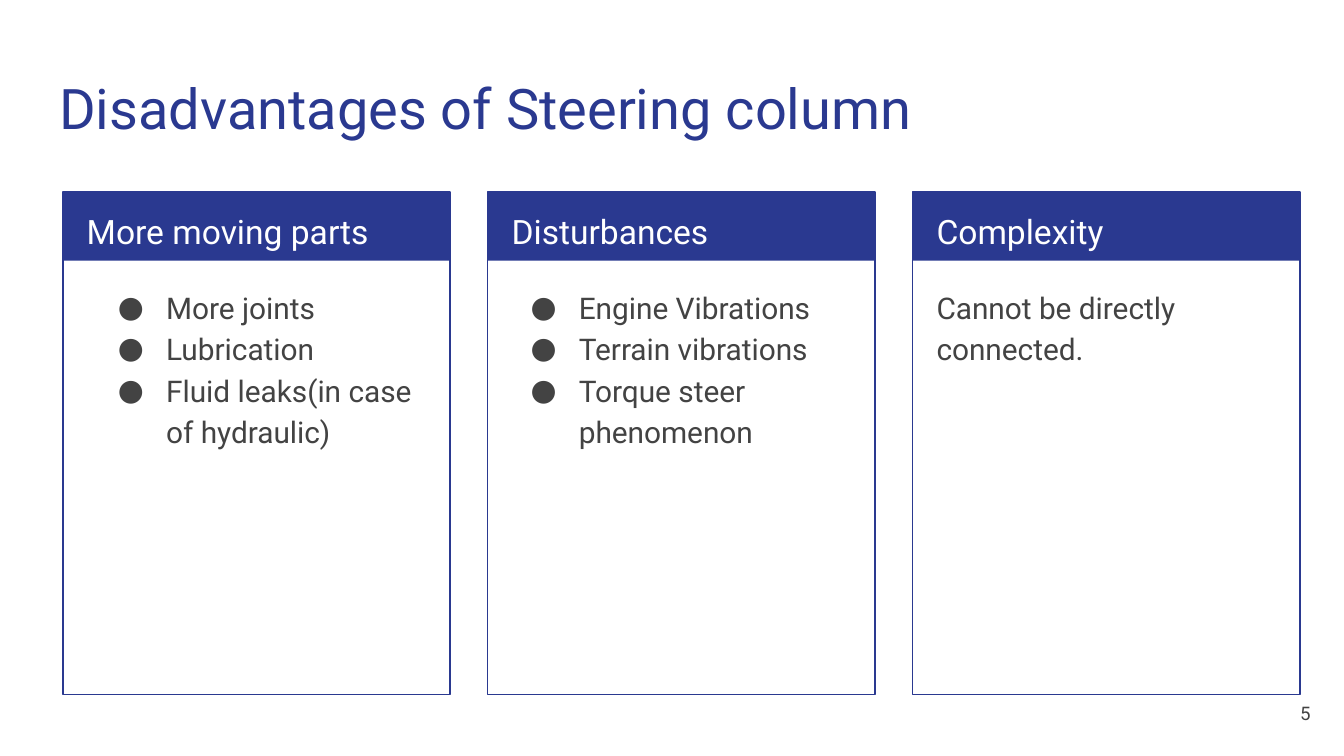
from lxml.etree import SubElement
from pptx import Presentation
from pptx.dml.color import RGBColor
from pptx.enum.shapes import MSO_SHAPE as Shape
from pptx.enum.text import MSO_ANCHOR as Anchor, PP_ALIGN as Align
from pptx.oxml.ns import qn
from pptx.util import Cm, Pt

FONT = "Roboto"
BLUE, GREY, WHITE = "2A3990", "434343", "FFFFFF"
INSET = Cm(0.25)
CARD_LEFT, CARD_TOP, CARD_STEP = 1.19, 3.63, 8.03
CARD_WIDTH, CARD_HEIGHT, HEADER_HEIGHT = 7.32, 9.5, 1.3
CARDS = [
    ("More moving parts", 0.43, True,
     ["More joints", "Lubrication", "Fluid leaks(in case of hydraulic)"]),
    ("Disturbances", 0.2, True,
     ["Engine Vibrations", "Terrain vibrations", "Torque steer phenomenon"]),
    ("Complexity", 0.2, False, ["Cannot be directly connected."]),
]


def color(value):
    """Turn a hex string into a colour."""
    return RGBColor.from_string(value)


def place(shape, left, top, width, height):
    """Position a shape with lengths in centimetres."""
    shape.left, shape.top = Cm(left), Cm(top)
    shape.width, shape.height = Cm(width), Cm(height)


def write(shape, lines, size, text_color, spacing=1.0, align=Align.LEFT, anchor=Anchor.TOP):
    """Fill a shape with one formatted paragraph per line."""
    frame = shape.text_frame
    frame.word_wrap = True
    frame.vertical_anchor = anchor
    frame.margin_left = frame.margin_right = INSET
    frame.margin_top = frame.margin_bottom = INSET
    frame.text = "\n".join(lines)
    for paragraph in frame.paragraphs:
        paragraph.alignment = align
        paragraph.line_spacing = spacing
        paragraph.font.name = FONT
        paragraph.font.size = Pt(size)
        paragraph.font.color.rgb = color(text_color)


def add_text(slide, box, lines, size, text_color, **options):
    """Add a text box and return it."""
    shape = slide.shapes.add_textbox(*map(Cm, box))
    write(shape, lines, size, text_color, **options)
    return shape


def add_bullets(shape):
    """Give every paragraph a round bullet and a hanging indent."""
    for paragraph in shape.text_frame.paragraphs:
        properties = paragraph._p.get_or_add_pPr()
        properties.set("marL", str(Cm(1.27)))
        properties.set("indent", str(-Cm(0.91)))
        bullet_color = SubElement(properties, qn("a:buClr"))
        SubElement(bullet_color, qn("a:srgbClr"), val=GREY)
        SubElement(properties, qn("a:buFont"), typeface=FONT)
        SubElement(properties, qn("a:buChar"), char="●")


def add_rectangle(group, left, height, fill=None, line=None):
    """Add a filled or outlined rectangle at the top of a card."""
    box = map(Cm, (left, CARD_TOP, CARD_WIDTH, height))
    shape = group.shapes.add_shape(Shape.RECTANGLE, *box)
    shape.shadow.inherit = False
    if fill:
        shape.fill.solid()
        shape.fill.fore_color.rgb = color(fill)
    else:
        shape.fill.background()
    if line:
        shape.line.color.rgb = color(line)
        shape.line.width = Pt(0.75)
    else:
        shape.line.fill.background()


def add_card(slide, left, heading, body_offset, bulleted, lines):
    """Add a framed card with a heading band and body text."""
    group = slide.shapes.add_group_shape()
    add_rectangle(group, left, HEADER_HEIGHT, fill=BLUE)
    add_rectangle(group, left, CARD_HEIGHT, line=BLUE)
    add_text(slide, (left + 0.2, CARD_TOP, 6.93, 1.27), [heading], 18, WHITE, spacing=1.15)
    body = add_text(slide, (left + body_offset, 5.13, 6.88, 7.77), lines, 16, GREY, spacing=1.15)
    if bulleted:
        add_bullets(body)


def main():
    """Build and save the slide."""
    presentation = Presentation()
    presentation.slide_width, presentation.slide_height = Cm(25.4), Cm(14.29)
    slide = presentation.slides.add_slide(presentation.slide_layouts[5])
    title = slide.shapes.title
    place(title, 0.87, 1.14, 23.67, 1.68)
    write(title, ["Disadvantages of Steering column"], 30, BLUE)
    for index, card in enumerate(CARDS):
        add_card(slide, CARD_LEFT + index * CARD_STEP, *card)
    add_text(slide, (23.5, 12.93, 1.52, 1.09), ["5"], 10, GREY,
             align=Align.RIGHT, anchor=Anchor.MIDDLE)
    presentation.save("out.pptx")


if __name__ == "__main__":
    main()
